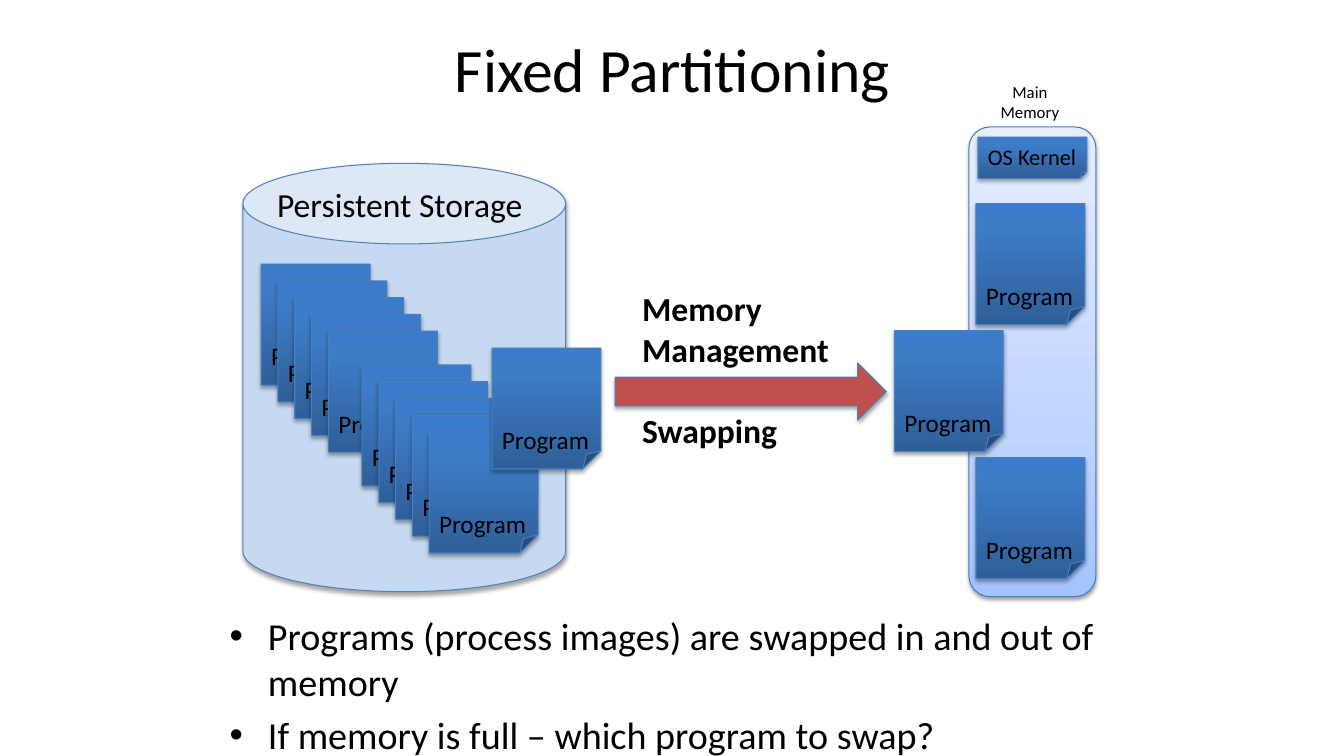
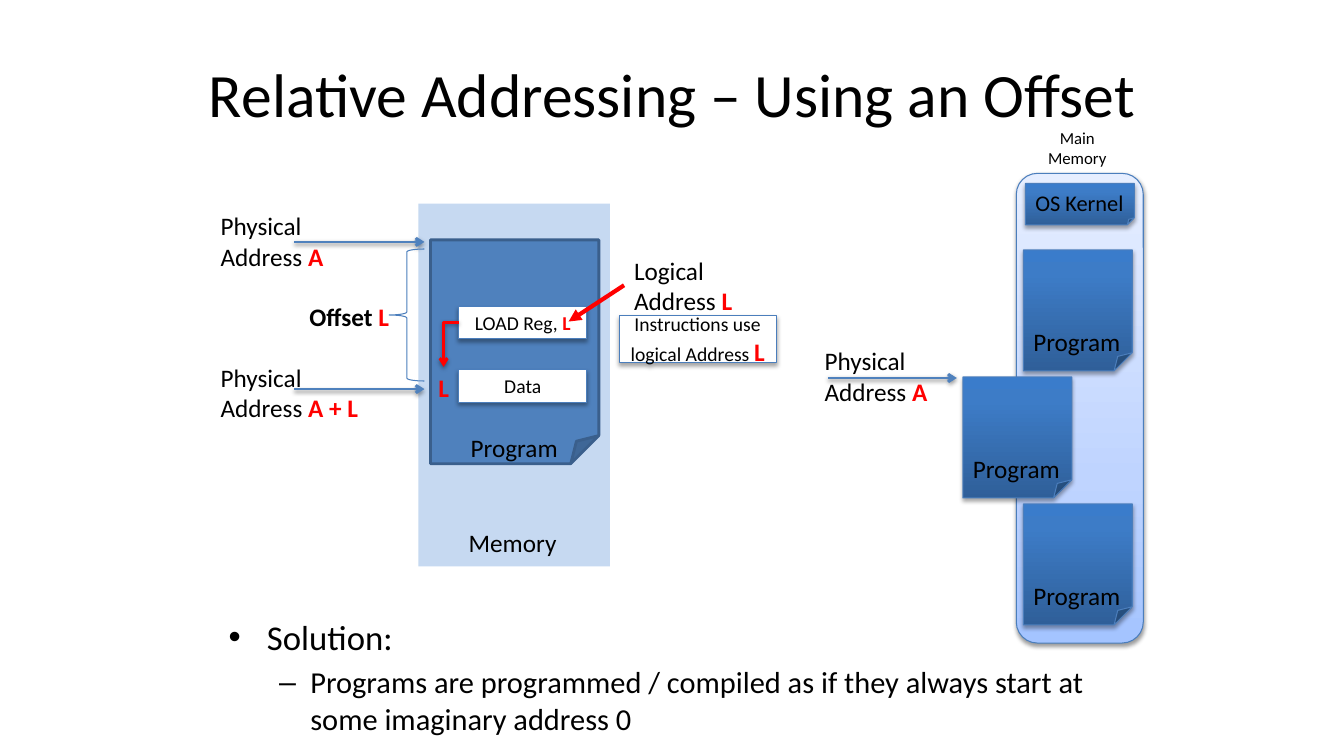
from lxml import etree
from pptx import Presentation
from pptx.dml.color import RGBColor
from pptx.enum import shapes as sh, text as tx
from pptx.oxml.ns import qn
from pptx.util import Inches, Pt

# Shared look
FONT = "Calibri"
BLACK, WHITE, RED = (RGBColor.from_string(c) for c in ("000000", "FFFFFF", "FF0000"))
PALE_BLUE = RGBColor(0xC6, 0xD9, 0xF1)
BLUE = RGBColor(0x4F, 0x81, 0xBD)
EDGE = RGBColor(0x4B, 0x7E, 0xBC)
DARK_EDGE = RGBColor(0x3A, 0x5F, 0x8C)
BRICK = RGBColor(0xC0, 0x50, 0x4D)
PROGRAM_FILL = [(0, "2F5F99"), (80, "3D7CC7"), (100, "3A7CCB")]
MEMORY_FILL = [(0, "A4C4FF"), (35, "BFD4FF"), (100, "E6EEFF")]
SHAPE_SHADOW = (35, 1.8)  # opacity in percent, distance in points
SOFT_SHADOW = (38, 1.6)
LEFT, CENTER = tx.PP_ALIGN.LEFT, tx.PP_ALIGN.CENTER
KIND = sh.MSO_SHAPE
PROGRAM_SIZE = (1.08, 1.2)

# Content: a tuple in a paragraph list is (plain text, red text)
SWAP_BULLETS = [
    (0, "Programs (process images) are swapped in and out of memory"),
    (0, "If memory is full – which program to swap?"),
]
OFFSET_BULLETS = [
    (0, "Solution:"),
    (1, "Programs are programmed / compiled as if they always start at "
        "some imaginary address 0"),
]
BULLET_LEVELS = [("•", 0.38, 0.38), ("–", 0.81, 0.31)]  # sign, indent, hanging

ADDRESS_LABELS = [
    ((2.09, 2.04, 1.23, 0.71), ["Physical", ("Address ", "A")]),
    ((2.09, 3.54, 1.58, 0.71), ["Physical", ("Address ", "A + L")]),
    ((6.19, 2.48, 1.19, 0.71), ["Logical", ("Address ", "L")]),
    ((8.08, 3.38, 1.23, 0.71), ["Physical", ("Address ", "A")]),
    ((4.57, 4.24, 1.07, 0.4), ["Program"]),
    ((4.55, 5.18, 1.08, 0.4), ["Memory"]),
]
ADDRESS_ARROWS = [((2.92, 2.4), (4.21, 2.4)), ((2.92, 3.86), (4.21, 3.86)),
                  ((8.21, 3.75), (9.49, 3.75))]
CELLS = [
    ((6.14, 3.13, 1.56, 0.47), ("Instructions use logical Address ", "L"), 18),
    ((4.55, 3.04, 1.27, 0.32), ("LOAD Reg, ", "L"), 14),
    ((4.55, 3.67, 1.27, 0.32), "Data", 14),
]


def inches(values):
    return [Inches(v) for v in values]


def add_shadow(item, shadow=None):
    """Replace the theme shadow by a soft one, or by none."""
    props = item.element.spPr
    effects = etree.SubElement(props, qn("a:effectLst"))
    if shadow:
        opacity, distance = shadow
        outer = etree.SubElement(
            effects, qn("a:outerShdw"), blurRad=str(Pt(3.1)), dist=str(Pt(distance)),
            dir="5400000", rotWithShape="0")
        color = etree.SubElement(outer, qn("a:srgbClr"), val="000000")
        etree.SubElement(color, qn("a:alpha"), val=str(opacity * 1000))


def add_block(parts, kind, area, fill=None, edge=EDGE, width=0.75, shadow=None):
    """Preset shape; fill is a colour, a list of gradient stops or None."""
    block = parts.add_shape(kind, *inches(area))
    if fill is None:
        block.fill.background()
    elif isinstance(fill, list):
        block.fill.gradient()
        block.fill.gradient_angle = 90
        stops = block.element.spPr.find(".//" + qn("a:gsLst"))
        stops.clear()
        for position, color in fill:
            stop = etree.SubElement(stops, qn("a:gs"), pos=str(position * 1000))
            etree.SubElement(stop, qn("a:srgbClr"), val=color)
    else:
        block.fill.solid()
        block.fill.fore_color.rgb = fill
    if edge is None:
        block.line.fill.background()
    else:
        block.line.color.rgb = edge
        block.line.width = Pt(width)
    add_shadow(block, shadow)
    return block


def write(box, paragraphs, size, bold=False, align=LEFT, red_size=None):
    frame = box.text_frame
    for i, content in enumerate(paragraphs):
        paragraph = frame.paragraphs[0] if i == 0 else frame.add_paragraph()
        paragraph.alignment = align
        plain, red = (content, "") if isinstance(content, str) else content
        paragraph.font.name = FONT
        paragraph.font.size = Pt(size)
        paragraph.font.bold = bold
        paragraph.font.color.rgb = BLACK
        if plain:
            paragraph.add_run().text = plain
        if red:
            run = paragraph.add_run()
            run.text = red
            run.font.bold = True
            run.font.size = Pt(red_size or size)
            run.font.color.rgb = RED


def add_label(parts, area, paragraphs, size=18, wrap=False, **style):
    label = parts.add_textbox(*inches(area))
    label.text_frame.word_wrap = wrap
    write(label, paragraphs, size, **style)
    return label


def add_title(slide, area, title):
    box = add_label(slide.shapes, area, [title], 44, wrap=True, align=CENTER)
    box.text_frame.vertical_anchor = tx.MSO_ANCHOR.MIDDLE


def add_bullets(slide, area, bullets, sizes):
    box = slide.shapes.add_textbox(*inches(area))
    box.text_frame.word_wrap = True
    for i, (level, line) in enumerate(bullets):
        paragraph = box.text_frame.paragraphs[0] if i == 0 else box.text_frame.add_paragraph()
        sign, indent, hanging = BULLET_LEVELS[level]
        paragraph.text = line
        paragraph.level = level
        if i:
            paragraph.space_before = Pt(0.2 * sizes[level])
        props = paragraph._p.get_or_add_pPr()
        props.set("marL", str(Inches(indent)))
        props.set("indent", str(-Inches(hanging)))
        etree.SubElement(props, qn("a:buFont"), typeface="Arial")
        etree.SubElement(props, qn("a:buChar"), char=sign)
        paragraph.font.name = FONT
        paragraph.font.size = Pt(sizes[level])
        paragraph.font.color.rgb = BLACK


def add_arrow(slide, start, end, color=BLUE, width=2, head="arrow",
              shadow=SOFT_SHADOW, kind=sh.MSO_CONNECTOR.STRAIGHT):
    arrow = slide.shapes.add_connector(kind, *inches(start + end))
    arrow.line.color.rgb = color
    arrow.line.width = Pt(width)
    etree.SubElement(arrow.line._get_or_add_ln(), qn("a:tailEnd"), type=head)
    add_shadow(arrow, shadow)
    return arrow


def add_program(slide, left, top):
    parts = slide.shapes.add_group_shape().shapes
    add_block(parts, KIND.FOLDED_CORNER, (left, top, *PROGRAM_SIZE), PROGRAM_FILL,
              shadow=SHAPE_SHADOW)
    add_label(parts, (left, top + 0.71, 1.08, 0.4), ["Program"])


def add_main_memory(slide, left, top, swapped_left):
    """Memory column with the kernel and three partitions, the middle one moving."""
    parts = slide.shapes
    add_block(parts, KIND.ROUNDED_RECTANGLE, (left, top, 1.26, 4.66), MEMORY_FILL,
              shadow=SOFT_SHADOW)
    add_label(parts, (left + 0.13, top - 0.5, 0.95, 0.5), ["Main", "Memory"], 12,
              wrap=True, align=CENTER)
    add_block(parts, KIND.FOLDED_CORNER, (left + 0.09, top + 0.1, 1.08, 0.41),
              PROGRAM_FILL, shadow=SHAPE_SHADOW)
    add_label(parts, (left + 0.09, top + 0.11, 1.09, 0.37), ["OS Kernel"], 16)
    for row, program_left in enumerate((left + 0.07, swapped_left, left + 0.07)):
        add_program(slide, program_left, top + 0.76 + 1.26 * row)


def build_partitioning(slide):
    parts = slide.shapes
    add_title(slide, (2.17, 0.05, 9, 1.25), "Fixed Partitioning")
    add_bullets(slide, (2.18, 6.03, 9, 1.34), SWAP_BULLETS, [27.2])

    # Storage with a cascade of programs; one has been pulled out
    add_block(parts, KIND.CAN, (2.41, 1.62, 3.2, 4.25), PALE_BLUE, BLUE,
              shadow=SHAPE_SHADOW)
    add_label(parts, (2.65, 1.78, 2.7, 0.5), ["Persistent Storage"], 24)
    first_left, first_top, step, pulled = 2.59, 2.62, 1 / 6, 5
    for n in range(11):
        if n != pulled:
            add_program(slide, first_left + n * step, first_top + n * step)
    add_program(slide, 4.88, first_top + pulled * step)

    # Swapping into memory
    add_main_memory(slide, 9.61, 1.26, swapped_left=8.87)
    add_block(parts, KIND.RIGHT_ARROW, (6.1, 3.6, 2.69, 0.57), BRICK,
              shadow=SHAPE_SHADOW)
    swapping = add_label(parts, (6.27, 2.81, 2.36, 1.72),
                         ["Memory Management", "Swapping"], 24, wrap=True, bold=True)
    swapping.text_frame.paragraphs[1].space_before = Pt(29)


def build_addressing(slide):
    parts = slide.shapes
    # Memory and the enlarged program
    add_block(parts, KIND.RECTANGLE, (4.15, 2.02, 1.9, 3.6), PALE_BLUE, None)
    add_block(parts, KIND.FOLDED_CORNER, (4.27, 2.38, 1.67, 2.22), BLUE, DARK_EDGE, 2)
    add_title(slide, (0.67, 0.3, 12, 1.25), "Relative Addressing – Using an Offset")
    add_bullets(slide, (2.17, 6.06, 9, 1.12), OFFSET_BULLETS, [24.8, 21.7])
    add_main_memory(slide, 10.08, 1.72, swapped_left=9.55)

    # Addresses, instruction and data
    for start, end in ADDRESS_ARROWS:
        add_arrow(slide, start, end)
    for area, content, red_size in CELLS:
        cell = add_block(parts, KIND.RECTANGLE, area, WHITE, shadow=SHAPE_SHADOW)
        cell.text_frame.vertical_anchor = tx.MSO_ANCHOR.MIDDLE
        write(cell, [content], 14, align=CENTER, red_size=red_size)
    for area, paragraphs in ADDRESS_LABELS:
        add_label(parts, area, paragraphs)
    add_label(parts, (2.97, 2.94, 1, 0.4), [("Offset ", "L")], bold=True)
    add_label(parts, (4.25, 3.64, 0.31, 0.4), [("", "L")])

    # Offset brace and red pointers
    add_block(parts, KIND.LEFT_BRACE, (3.86, 2.47, 0.35, 1.31))
    jump = add_arrow(slide, (4.55, 3.2), (4.4, 3.64), RED, kind=sh.MSO_CONNECTOR.ELBOW)
    jump.element.spPr.find(qn("a:prstGeom")).set("prst", "bentConnector2")
    add_arrow(slide, (6.19, 2.83), (5.64, 3.19), RED, 3, "triangle", None)


def main():
    deck = Presentation()
    deck.slide_width, deck.slide_height = Inches(13.33), Inches(7.5)
    for build in (build_partitioning, build_addressing):
        build(deck.slides.add_slide(deck.slide_layouts[6]))
    deck.save("out.pptx")


if __name__ == "__main__":
    main()
